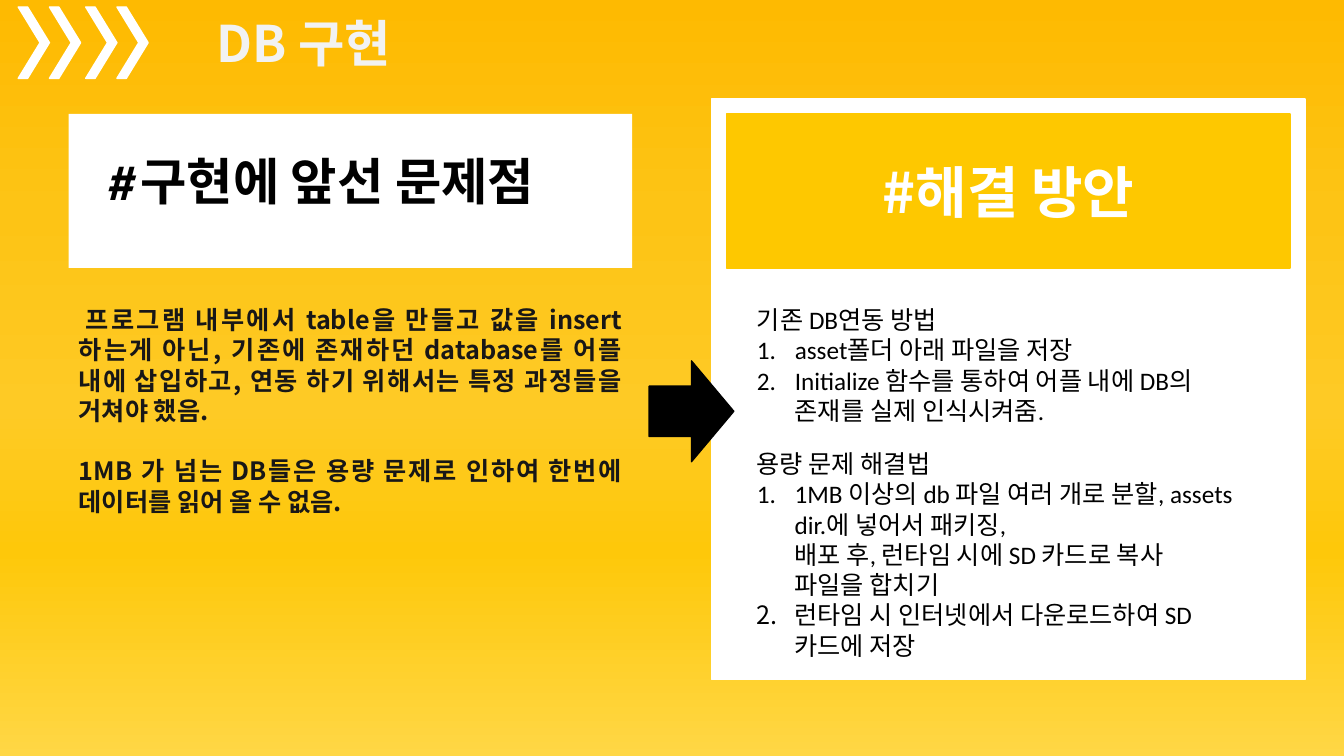
from dataclasses import dataclass
from typing import NamedTuple

from lxml.etree import SubElement
from pptx import Presentation
from pptx.dml.color import RGBColor
from pptx.enum.shapes import MSO_SHAPE
from pptx.enum.text import MSO_ANCHOR, MSO_AUTO_SIZE, PP_ALIGN
from pptx.oxml.ns import qn
from pptx.util import Pt


class Box(NamedTuple):
    left: float
    top: float
    width: float
    height: float


@dataclass(frozen=True)
class Theme:
    white: str = "FFFFFF"
    black: str = "000000"
    ink: str = "181717"
    pale: str = "F2F2F2"
    gold: str = "FEC800"
    sky: tuple = ((0, "FEBA01"), (28, "FDC415"), (54, "FECA25"),
                  (73, "FEC80A"), (100, "FFD745"))
    sans: str = "Noto Sans CJK KR"
    display: str = "League Spartan"
    text: str = "Calibri"
    body: int = 18
    heading: int = 36
    banner: int = 40


THEME = Theme()
PROBLEMS = [
    "프로그램 내부에서 table을 만들고 값을 insert하는게 아닌, 기존에 존재하던 database를 "
    "어플 내에 삽입하고, 연동 하기 위해서는 특정 과정들을 거쳐야 했음.",
    "1MB 가 넘는 DB들은 용량 문제로 인하여 한번에 데이터를 읽어 올 수 없음.",
]
LINKING = [
    "기존 DB연동 방법",
    "asset폴더 아래 파일을 저장",
    "Initialize 함수를 통하여 어플 내에 DB의 존재를 실제 인식시켜줌.",
]
CAPACITY = [
    "용량 문제 해결법",
    "1MB 이상의 db 파일 여러 개로 분할, assets dir.에 넣어서 패키징,\n"
    "배포 후, 런타임 시에 SD 카드로 복사\n파일을 합치기",
    "런타임 시 인터넷에서 다운로드하여 SD 카드에 저장",
]


def place(shape, box):
    shape.left, shape.top, shape.width, shape.height = (Pt(side) for side in box)


def paint(shape, fill, line=None):
    shape.fill.solid()
    shape.fill.fore_color.rgb = RGBColor.from_string(fill)
    if line:
        shape.line.color.rgb = RGBColor.from_string(line)
        shape.line.width = Pt(1)
    else:
        shape.line.fill.background()


def add_block(page, kind, box, fill):
    shape = page.shapes.add_shape(kind, *(Pt(side) for side in box))
    shape.shadow.inherit = False
    paint(shape, fill, fill)
    return shape


def open_frame(shape, box, anchor=MSO_ANCHOR.TOP, wrap=True):
    place(shape, box)
    frame = shape.text_frame
    frame.word_wrap = wrap
    frame.auto_size = MSO_AUTO_SIZE.NONE
    frame.vertical_anchor = anchor
    return frame


def write(frame, lines, font, size, color, bold=False, align=PP_ALIGN.LEFT,
          numbered=False, gap=0):
    for index, line in enumerate(lines):
        para = frame.paragraphs[0] if index == 0 else frame.add_paragraph()
        para.alignment = align
        para.line_spacing = 1.0
        para.space_before = Pt(gap if index else 0)
        para.space_after = Pt(0)
        listed = numbered and index > 0
        settings = para._p.get_or_add_pPr()
        settings.set("marL", str(Pt(27 if listed else 0)))
        settings.set("indent", str(Pt(-27 if listed else 0)))
        if listed:
            SubElement(settings, qn("a:buFont"), typeface="+mj-lt")
            SubElement(settings, qn("a:buAutoNum"), type="arabicPeriod")
        else:
            SubElement(settings, qn("a:buNone"))
        for part_index, part in enumerate(line.split("\n")):
            if part_index:
                para.add_line_break()
            span = para.add_run()
            span.text = part
            span.font.name = font
            span.font.size = Pt(size)
            span.font.bold = bold
            span.font.color.rgb = RGBColor.from_string(color)


def paint_background(page):
    fill = page.background.fill
    fill.gradient()
    fill.gradient_angle = 270
    stops = page.background._cSld.find(".//" + qn("a:gsLst"))
    for stop in list(stops):
        stops.remove(stop)
    for position, color in THEME.sky:
        stop = SubElement(stops, qn("a:gs"), pos=str(position * 1000))
        SubElement(stop, qn("a:srgbClr"), val=color)


def build_header(page, box):
    for offset in (0, 22.3, 48.2, 70.5):
        chevron = add_block(page, MSO_SHAPE.CHEVRON,
                            Box(box.left + offset, box.top, 22.3, box.height),
                            THEME.white)
        chevron.adjustments[0] = 0.7
    title_box = Box(box.left + 134.6, box.top, box.width - 134.6, box.height)
    frame = open_frame(page.shapes.title, title_box, wrap=False)
    write(frame, ["DB 구현"], THEME.sans, THEME.heading, THEME.pale, bold=True)


def build_problems(page, box):
    heading, body = page.placeholders[1], page.placeholders[2]
    paint(heading, THEME.white)
    frame = open_frame(heading, Box(box.left, box.top, box.width, 110))
    frame.margin_left, frame.margin_top = Pt(27.4), Pt(25.9)
    write(frame, ["#구현에 앞선 문제점"], THEME.display, THEME.heading,
          THEME.black, bold=True)
    frame = open_frame(body, Box(box.left, box.top + 132.5, box.width, 160))
    write(frame, PROBLEMS, THEME.sans, THEME.body, THEME.ink, bold=True,
          align=PP_ALIGN.JUSTIFY, gap=21.6)
    frame.paragraphs[0]._p.get_or_add_pPr().set("indent", str(Pt(5)))


def build_solutions(page, box):
    panel = add_block(page, MSO_SHAPE.RECTANGLE, box, THEME.white)
    page.shapes._spTree.insert(2, panel._element)
    heading, body = page.placeholders[3], page.placeholders[4]
    paint(heading, THEME.gold, THEME.gold)
    inner = Box(box.left + 10.8, box.top + 10.8, box.width - 21.6, 110)
    frame = open_frame(heading, inner, MSO_ANCHOR.MIDDLE)
    write(frame, ["#해결 방안"], THEME.sans, THEME.banner, THEME.white,
          bold=True, align=PP_ALIGN.CENTER)
    capacity = page.shapes.add_textbox(0, 0, 0, 0)
    left = box.left + 25.2
    for shape, lines, offset, width, height in (
            (body, LINKING, 143.3, 378.7, 94.5),
            (capacity, CAPACITY, 246.2, 360, 160)):
        frame = open_frame(shape, Box(left, box.top + offset, width, height))
        write(frame, lines, THEME.text, THEME.body, THEME.black, numbered=True)


def build_arrow(page, box):
    add_block(page, MSO_SHAPE.RIGHT_ARROW, box, THEME.black)


def main():
    deck = Presentation()
    deck.slide_width, deck.slide_height = Pt(960), Pt(540)
    page = deck.slides.add_slide(deck.slide_layouts[4])
    paint_background(page)
    build_header(page, Box(13, 5, 285, 51))
    build_problems(page, Box(49, 81.4, 402.5, 292.5))
    build_solutions(page, Box(508.3, 70.6, 424, 414.7))
    build_arrow(page, Box(463.7, 257.8, 60.5, 72))
    deck.save("out.pptx")


if __name__ == "__main__":
    main()
